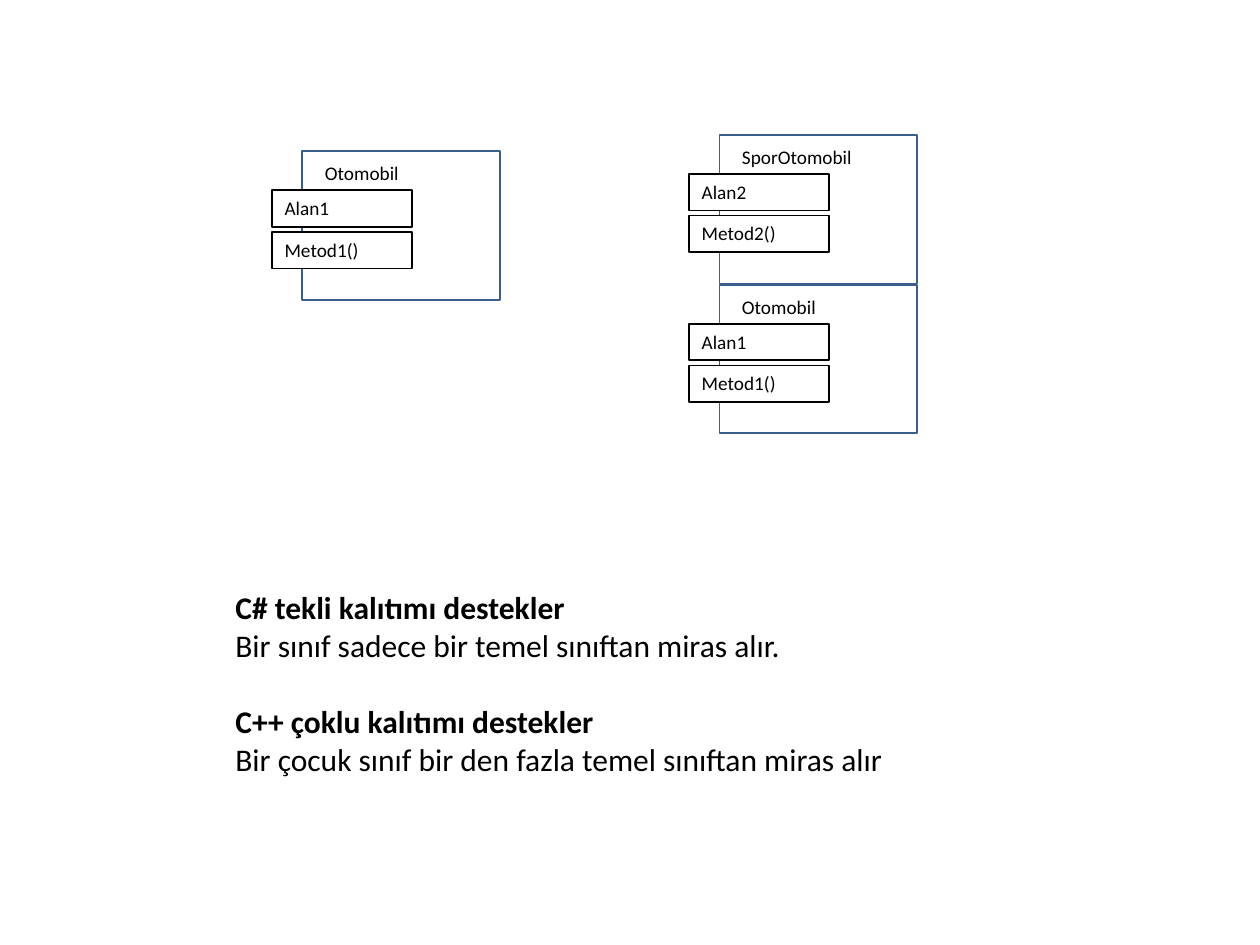
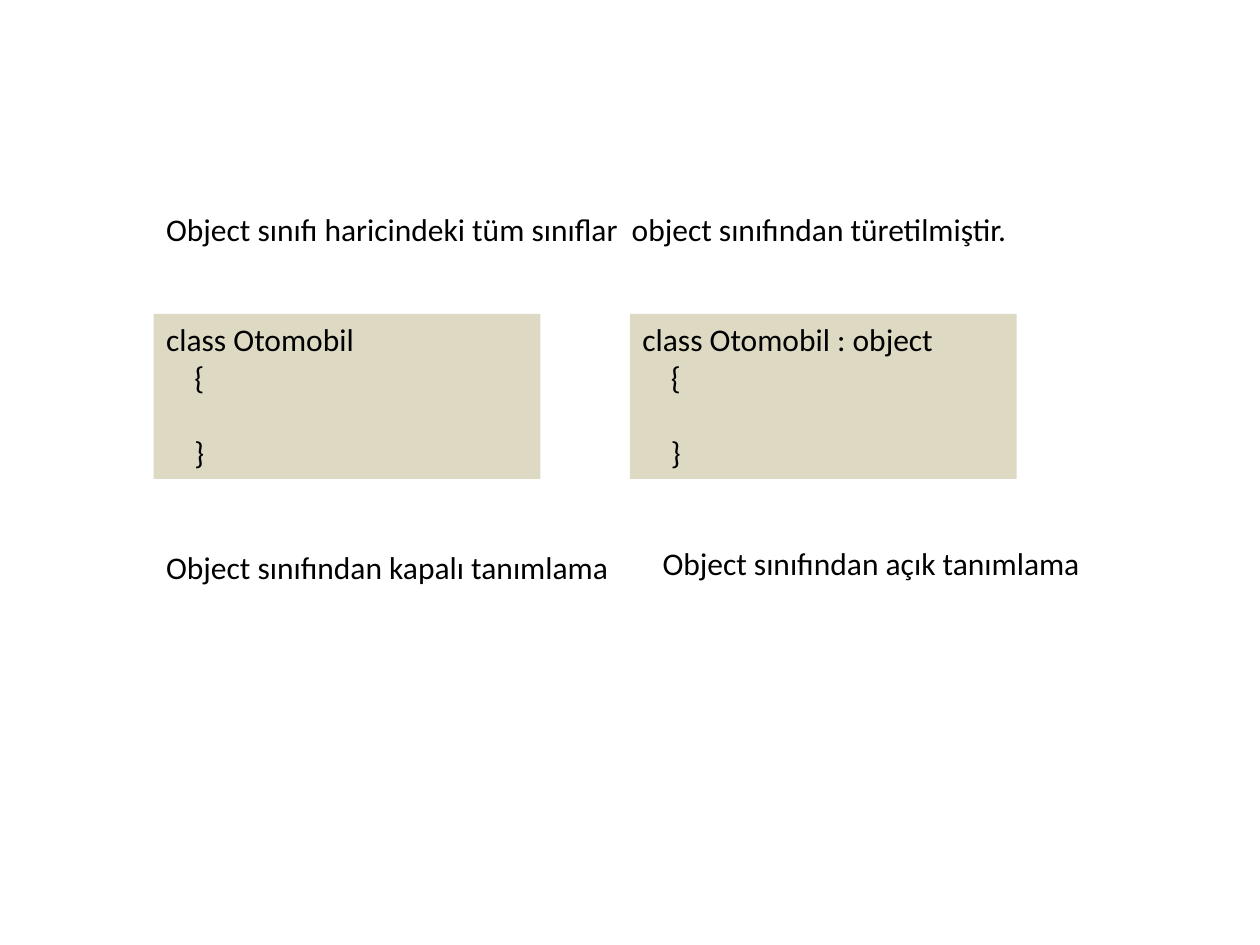
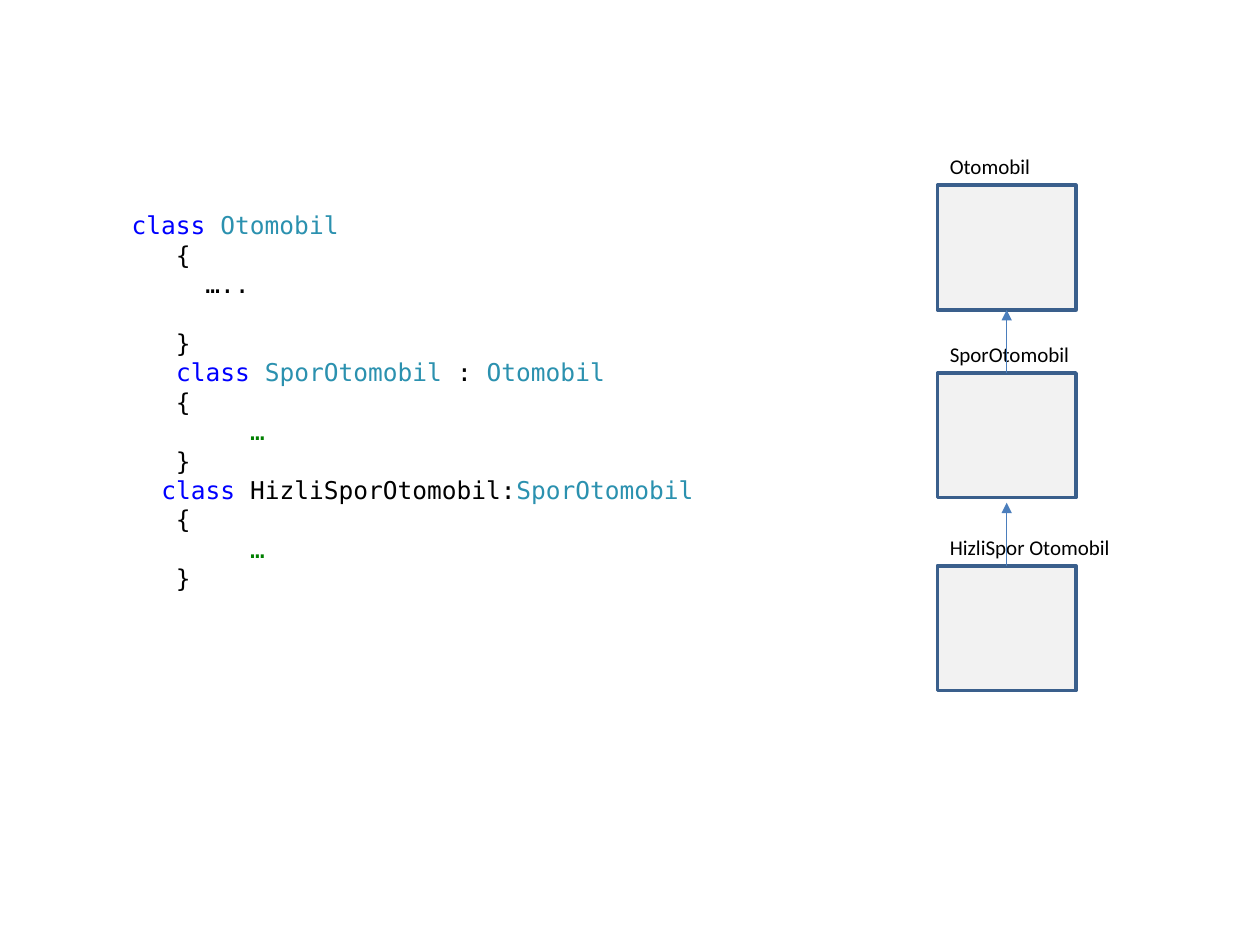
from dataclasses import dataclass
from typing import Optional

from lxml.etree import SubElement
from pptx import Presentation
from pptx.dml.color import RGBColor
from pptx.enum.shapes import MSO_CONNECTOR as CONNECTOR, MSO_SHAPE as SHAPE
from pptx.enum.text import MSO_ANCHOR as ANCHOR, PP_ALIGN as ALIGN
from pptx.oxml.ns import qn
from pptx.util import Inches, Pt


@dataclass(frozen=True)
class Theme:
    font: str = "Calibri"
    code_font: str = "DejaVu Sans Mono"
    member_size: int = 11
    label_size: int = 12
    code_size: int = 14
    body_size: int = 18
    line_height: float = 1.2
    text: str = "000000"
    paper: str = "FFFFFF"
    sand: str = "DDD9C3"
    node: str = "F2F2F2"
    frame: str = "3A5F8C"
    arrow: str = "4B7EBC"
    keyword: str = "0000FF"
    class_name: str = "2B91AF"
    comment: str = "008000"


THEME = Theme()


@dataclass(frozen=True)
class Span:
    text: str
    color: str = THEME.text
    bold: bool = False


KEYWORD = Span("class", THEME.keyword)
COMMENT = Span("…", THEME.comment)
CAR = Span("Otomobil", THEME.class_name)
SPORTS_CAR = Span("SporOtomobil", THEME.class_name)

INHERITANCE_NOTES = [
    [Span("C# tekli kalıtımı destekler", bold=True)],
    "Bir sınıf sadece bir temel sınıftan miras alır.",
    "",
    [Span("C++ çoklu kalıtımı destekler", bold=True)],
    "Bir çocuk sınıf bir den fazla temel sınıftan miras alır",
]

HIERARCHY_CODE = [
    [Span(" "), KEYWORD, Span(" "), CAR],
    "    {",
    "      …..",
    "",
    "    }",
    [Span("    "), KEYWORD, Span(" "), SPORTS_CAR, Span(" : "), CAR],
    "    {",
    [Span("         "), COMMENT],
    "    }",
    [Span("   "), KEYWORD, Span(" HizliSporOtomobil:"), SPORTS_CAR],
    "    {",
    [Span("         "), COMMENT],
    "    }",
]


def rgb(value):
    return RGBColor.from_string(value)


def write(shape, lines, *, size=THEME.body_size, font=THEME.font, wrap=True):
    """Write lines of plain text or spans; an empty line becomes space before the next."""
    frame = shape.text_frame
    frame.word_wrap = wrap
    frame.vertical_anchor = ANCHOR.TOP
    paragraph = frame.paragraphs[0]
    gap = 0
    for number, line in enumerate(lines):
        if not line:
            gap = size * THEME.line_height
            continue
        if number:
            paragraph = frame.add_paragraph()
        paragraph.alignment = ALIGN.LEFT
        paragraph.space_before = Pt(gap)
        gap = 0
        for span in [Span(line)] if isinstance(line, str) else line:
            run = paragraph.add_run()
            run.text = span.text
            run.font.name = font
            run.font.size = Pt(size)
            run.font.bold = span.bold
            run.font.color.rgb = rgb(span.color)


def add_text(slide, left, top, width, height, lines, **text_format):
    box = slide.shapes.add_textbox(*map(Inches, (left, top, width, height)))
    write(box, lines, **text_format)


def add_box(slide, left, top, width, height, *, fill: Optional[str] = None,
            line: Optional[str] = None, line_width=1):
    box = slide.shapes.add_shape(
        SHAPE.RECTANGLE, *map(Inches, (left, top, width, height)))
    box.shadow.inherit = False
    if fill:
        box.fill.solid()
        box.fill.fore_color.rgb = rgb(fill)
    else:
        box.fill.background()
    if line:
        box.line.color.rgb = rgb(line)
        box.line.width = Pt(line_width)
    else:
        box.line.fill.background()
    return box


def add_class_card(slide, left, top, name, members):
    """Draw a class frame whose members stick out on its left side."""
    width, height = 1.11, 0.29
    add_box(slide, left, top, 1.57, 1.18, line=THEME.frame)
    add_text(slide, left + 0.08, top + 0.03, width, height, [name],
             size=THEME.member_size)
    for row, member in enumerate(members):
        box = add_box(slide, left - 0.24, top + 0.31 + row * 0.33, width, height,
                      fill=THEME.paper, line=THEME.text)
        write(box, [member], size=THEME.member_size)


def add_up_arrow(slide, x, bottom, length):
    arrow = slide.shapes.add_connector(
        CONNECTOR.STRAIGHT, *map(Inches, (x, bottom, x, bottom - length)))
    arrow.line.color.rgb = rgb(THEME.arrow)
    arrow.line.width = Pt(0.75)
    SubElement(arrow.line._get_or_add_ln(), qn("a:tailEnd"), type="triangle")
    SubElement(arrow._element.spPr, qn("a:effectLst"))


def build_single_inheritance(slide):
    car_members = ["Alan1", "Metod1()"]
    add_class_card(slide, 2.4, 1.2, "Otomobil", car_members)
    add_class_card(slide, 5.71, 1.07, "SporOtomobil", ["Alan2", "Metod2()"])
    add_class_card(slide, 5.71, 2.26, "Otomobil", car_members)
    add_text(slide, 1.77, 4.62, 6.77, 1.92, INHERITANCE_NOTES)


def build_object_base(slide):
    add_text(slide, 1.22, 1.62, 7.06, 0.4,
             ["Object sınıfı haricindeki tüm sınıflar  object sınıfından türetilmiştir."],
             wrap=False)
    for left, declaration in ((1.22, "class Otomobil"),
                              (5, "class Otomobil : object")):
        code = add_box(slide, left, 2.49, 3.07, 1.31, fill=THEME.sand)
        write(code, [declaration, "    {", "", "    }"])
    add_text(slide, 1.22, 4.3, 3.77, 0.4,
             ["Object sınıfından kapalı tanımlama"], wrap=False)
    add_text(slide, 5.16, 4.27, 3.55, 0.4,
             ["Object sınıfından açık tanımlama"], wrap=False)


def build_class_hierarchy(slide):
    left, width = 7.44, 1.1
    add_text(slide, 0.83, 1.62, 6.36, 3.47, HIERARCHY_CODE,
             size=THEME.code_size, font=THEME.code_font)
    nodes = ((1.47, "Otomobil"), (2.96, "SporOtomobil"), (4.49, "HizliSpor Otomobil"))
    for top, name in nodes:
        add_box(slide, left, top, width, 0.99, fill=THEME.node,
                line=THEME.frame, line_width=2)
        add_text(slide, left, top - 0.3, 1.57, 0.3, [name], size=THEME.label_size)
    for top, _ in nodes[1:]:
        add_up_arrow(slide, left + width / 2, top, 0.5)


def main():
    deck = Presentation()
    deck.slide_width, deck.slide_height = Inches(10), Inches(7.5)
    blank = deck.slide_layouts[6]
    for build in (build_single_inheritance, build_object_base, build_class_hierarchy):
        build(deck.slides.add_slide(blank))
    deck.save("out.pptx")


if __name__ == "__main__":
    main()
